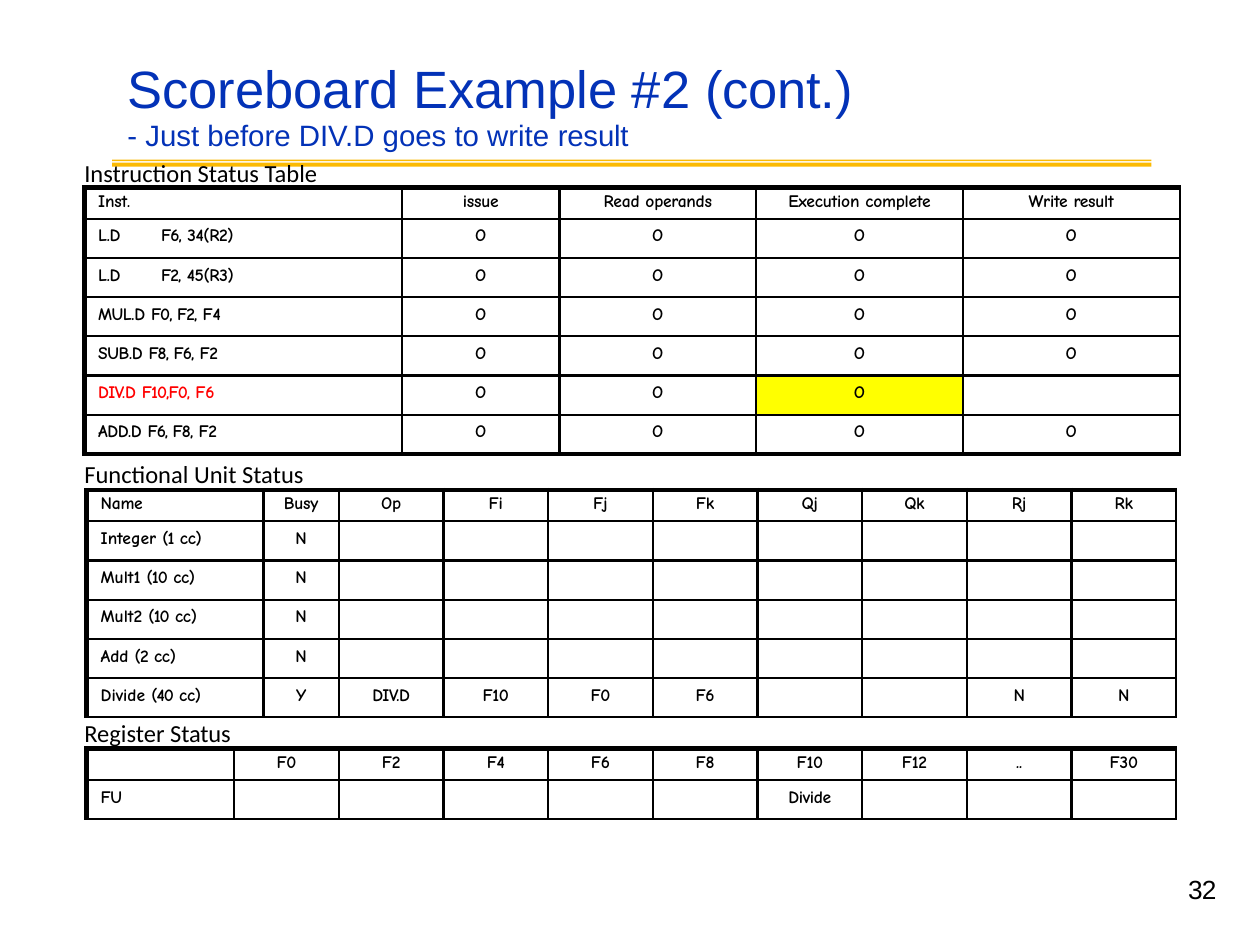
from dataclasses import dataclass
from typing import Optional

import pptx
import pptx.dml.color
import pptx.enum.text
import pptx.oxml
import pptx.oxml.ns
import pptx.util
from pptx.util import Cm

BLACK = pptx.dml.color.RGBColor(0x00, 0x00, 0x00)
BLUE = pptx.dml.color.RGBColor(0x03, 0x32, 0xB7)
GOLD = pptx.dml.color.RGBColor(0xFB, 0xBA, 0x03)
RED = pptx.dml.color.RGBColor(0xFF, 0x00, 0x00)
YELLOW = pptx.dml.color.RGBColor(0xFF, 0xFF, 0x00)
LEFT = pptx.enum.text.PP_ALIGN.LEFT
CENTER = pptx.enum.text.PP_ALIGN.CENTER
THIN, THICK = 1.5, 3
HEADER_HEIGHT, ROW_HEIGHT = 0.63, 0.79
UNIT_WIDTH = 2.11

Pieces = tuple[tuple[str, float], ...]


@dataclass(frozen=True)
class Cell:
    pieces: Pieces = ()
    color: pptx.dml.color.RGBColor = BLACK
    fill: Optional[pptx.dml.color.RGBColor] = None


@dataclass(frozen=True)
class StatusTable:
    left: float
    top: float
    widths: list[float]
    rows: list[list[Cell]]
    bottom_border: float = THIN


@dataclass(frozen=True)
class Caption:
    pieces: Pieces
    top: float
    width: float


def plain(text: str, spacing: float = -0.2) -> Cell:
    return Cell(((text, spacing),))


def header(*names: str) -> list[Cell]:
    return [plain(name, -0.1) for name in names]


def instruction(operation: str, registers: str, last: str,
                color: pptx.dml.color.RGBColor = BLACK) -> Cell:
    return Cell(((operation, -0.2), (registers, -0.5), (last, -0.2)), color)


def unit(name: str, cycles: str) -> Cell:
    return Cell(((name + " ", 0), (f"({cycles} ", -0.5), ("cc)", -0.2)))


BLANK = Cell()
DONE = plain("O", -0.5)
IDLE = plain("N", -0.5)

INSTRUCTIONS = StatusTable(
    1.70, 3.78, [6.40, 3.18, 3.96, 4.17, 4.37],
    [
        header("Inst.", "issue", "Read operands", "Execution complete", "Write result"),
        [instruction("L.D\t", "F6, ", "34(R2)")] + [DONE] * 4,
        [instruction("L.D\t", "F2, ", "45(R3)")] + [DONE] * 4,
        [instruction("MUL.D ", "F0, F2, ", "F4")] + [DONE] * 4,
        [instruction("SUB.D ", "F8, F6, ", "F2")] + [DONE] * 4,
        [instruction("DIV.D ", "F10,F0, ", "F6", RED), DONE, DONE,
         Cell(DONE.pieces, fill=YELLOW), BLANK],
        [instruction("ADD.D ", "F6, F8, ", "F2")] + [DONE] * 4,
    ],
    THICK,
)
FUNCTIONAL_UNITS = StatusTable(
    1.75, 9.88, [3.56, 1.52] + [UNIT_WIDTH] * 8,
    [header("Name", "Busy", "Op", "Fi", "Fj", "Fk", "Qj", "Qk", "Rj", "Rk")]
    + [[unit(name, cycles), IDLE] + [BLANK] * 8
       for name, cycles in (("Integer", "1"), ("Mult1", "10"), ("Mult2", "10"), ("Add", "2"))]
    + [[unit("Divide", "40"), plain("Y"), plain("DIV.D"), plain("F10"), plain("F0"),
        plain("F6"), BLANK, BLANK, IDLE, IDLE]],
)
REGISTERS = StatusTable(
    1.75, 15.09, [2.97] + [UNIT_WIDTH] * 9,
    [
        [BLANK] + header("F0", "F2", "F4", "F6", "F8", "F10", "F12", "..", "F30"),
        [plain("FU")] + [BLANK] * 5 + [plain("Divide")] + [BLANK] * 3,
    ],
)
CAPTIONS = [
    Caption((("Register ", 0), ("Status", -0.1)), 14.35, 3.48),
    Caption((("Functional Unit Status", 0),), 9.12, 5.41),
    Caption((("Instruction Status Table", 0),), 3.07, 6.10),
]


def write_text(paragraph, pieces: Pieces, *, size: float, font: str,
               color: pptx.dml.color.RGBColor = BLACK, bold: bool = False,
               align=LEFT, indent: float = 0, line_height: Optional[float] = None,
               tab: Optional[float] = None) -> None:
    properties = paragraph._p.get_or_add_pPr()
    if indent:
        properties.set("marL", str(Cm(indent)))
        properties.set("indent", "0")
    if tab:
        tabs = pptx.oxml.parse_xml(
            f'<a:tabLst {pptx.oxml.ns.nsdecls("a")}><a:tab pos="{Cm(tab)}" algn="l"/></a:tabLst>')
        properties.append(tabs)
    paragraph.alignment = align
    if line_height:
        paragraph.line_spacing = pptx.util.Pt(line_height)
    for text, spacing in pieces:
        run = paragraph.add_run()
        run.text = text
        run.font.size = pptx.util.Pt(size)
        run.font.name = font
        run.font.bold = bold
        run.font.color.rgb = color
        run._r.get_or_add_rPr().set("spc", str(round(spacing * 100)))
    if not pieces:
        paragraph._p.append(pptx.oxml.parse_xml(
            f'<a:endParaRPr {pptx.oxml.ns.nsdecls("a")} sz="{round(size * 100)}"/>'))


def clear_margins(target) -> None:
    target.margin_left = target.margin_right = target.margin_top = target.margin_bottom = 0


def set_borders(cell, **widths: float) -> None:
    properties = cell._tc.get_or_add_tcPr()
    for side, width in widths.items():
        properties.append(pptx.oxml.parse_xml(
            f'<a:ln{side} {pptx.oxml.ns.nsdecls("a")} w="{pptx.util.Pt(width)}">'
            f'<a:solidFill><a:srgbClr val="{BLACK}"/></a:solidFill></a:ln{side}>'))


def draw_table(slide, status: StatusTable) -> None:
    last_row = len(status.rows) - 1
    height = HEADER_HEIGHT + last_row * ROW_HEIGHT
    table = slide.shapes.add_table(
        len(status.rows), len(status.widths), Cm(status.left), Cm(status.top),
        Cm(sum(status.widths)), Cm(height)).table
    table.first_row = table.horz_banding = False
    for column, width in zip(table.columns, status.widths):
        column.width = Cm(width)
    for row_index, row in enumerate(status.rows):
        table.rows[row_index].height = Cm(ROW_HEIGHT if row_index else HEADER_HEIGHT)
        for column_index, content in enumerate(row):
            cell = table.cell(row_index, column_index)
            clear_margins(cell)
            cell.margin_top = Cm(0.15 if row_index else 0.08)
            set_borders(cell, L=THIN if column_index else THICK, R=THIN,
                        T=THIN if row_index else THICK,
                        B=status.bottom_border if row_index == last_row else THIN)
            if content.fill is None:
                cell.fill.background()
            else:
                cell.fill.solid()
                cell.fill.fore_color.rgb = content.fill
            has_tab = any("\t" in text for text, _ in content.pieces)
            write_text(cell.text_frame.paragraphs[0], content.pieces, size=10,
                       font="Comic Neue", color=content.color, bold=True,
                       align=CENTER if column_index else LEFT,
                       indent=0 if column_index else 0.28, tab=1.30 if has_tab else None)


def draw_rule(slide) -> None:
    left, right = Cm(2.26), Cm(23.21)
    builder = slide.shapes.build_freeform(left, Cm(3.28))
    for index, (top, bottom) in enumerate(((3.28, 3.36), (3.22, 3.25))):
        if index:
            builder.move_to(left, Cm(top))
        builder.add_line_segments(
            [(right, Cm(top)), (right, Cm(bottom)), (left, Cm(bottom))], close=True)
    shape = builder.convert_to_shape()
    shape.shadow.inherit = False
    shape.fill.solid()
    shape.fill.fore_color.rgb = GOLD
    shape.line.fill.background()


def draw_title(slide) -> None:
    title = slide.shapes.title
    title.left, title.top, title.width, title.height = Cm(2.54), Cm(1.12), Cm(20.47), Cm(1.96)
    frame = title.text_frame
    clear_margins(frame)
    frame.margin_top = Cm(0.03)
    frame.vertical_anchor = pptx.enum.text.MSO_ANCHOR.TOP
    frame.auto_size = pptx.enum.text.MSO_AUTO_SIZE.SHAPE_TO_FIT_TEXT
    write_text(frame.paragraphs[0], (("Scoreboard Example #2 ", 0), ("(cont.)", -0.1)),
               size=30, font="Arial", color=BLUE, indent=0.03, line_height=35.2)
    write_text(frame.add_paragraph(),
               (("- Just before DIV.D goes to write ", 0), ("result", -0.1)),
               size=16.8, font="Arial", color=BLUE, indent=0.03, line_height=19.3)
    slide.shapes._spTree.append(title._element)


def add_text_frame(slide, left: float, top: float, width: float, height: float):
    frame = slide.shapes.add_textbox(Cm(left), Cm(top), Cm(width), Cm(height)).text_frame
    frame.word_wrap = True
    frame.auto_size = pptx.enum.text.MSO_AUTO_SIZE.SHAPE_TO_FIT_TEXT
    return frame


def main() -> None:
    presentation = pptx.Presentation()
    presentation.slide_width, presentation.slide_height = Cm(25.4), Cm(19.05)
    slide = presentation.slides.add_slide(presentation.slide_layouts[5])
    draw_rule(slide)
    for status in (INSTRUCTIONS, FUNCTIONAL_UNITS, REGISTERS):
        draw_table(slide, status)
    draw_title(slide)
    number_frame = add_text_frame(slide, 23.57, 17.63, 1.07, 1.22)
    clear_margins(number_frame)
    write_text(number_frame.paragraphs[0], (("32", -0.4),), size=15, font="Arial",
               indent=0.38, line_height=17.5)
    for caption in CAPTIONS:
        frame = add_text_frame(slide, 1.45, caption.top, caption.width, 0.86)
        write_text(frame.paragraphs[0], caption.pieces, size=14, font="Calibri")
    presentation.save("out.pptx")


if __name__ == "__main__":
    main()
